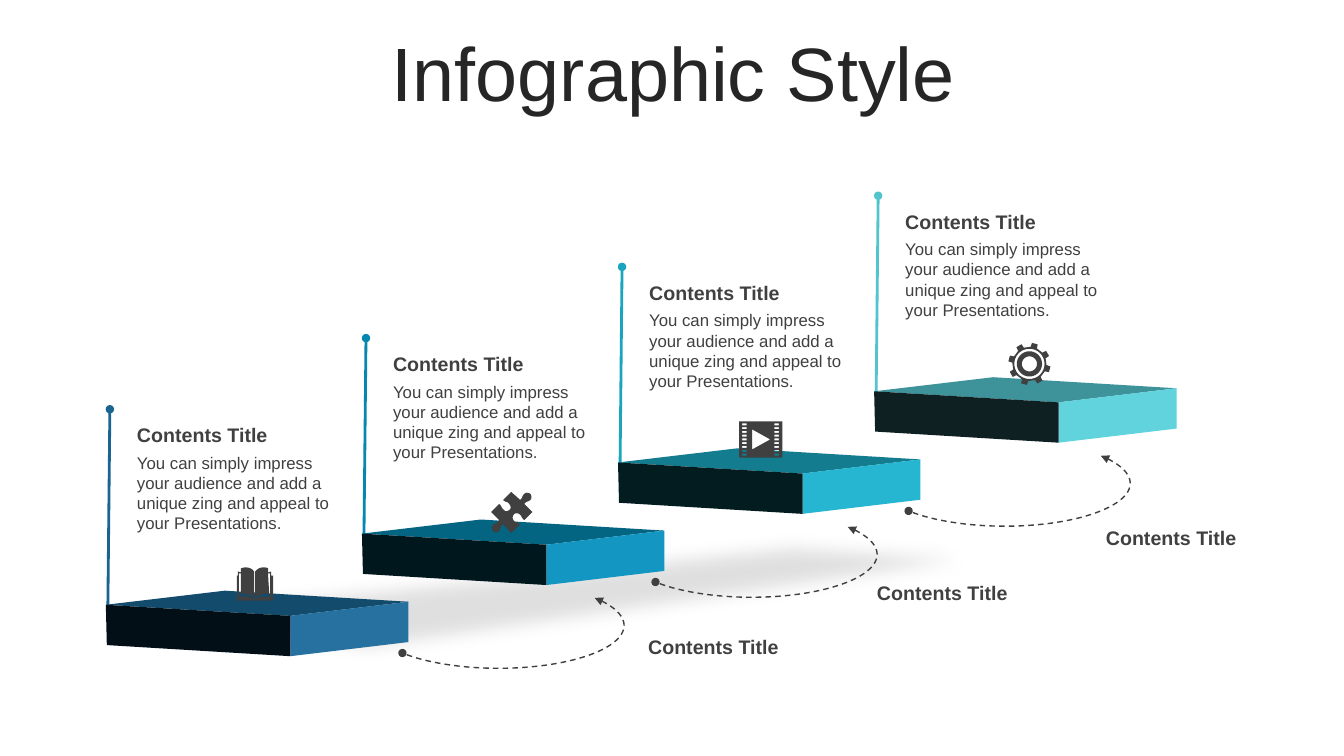
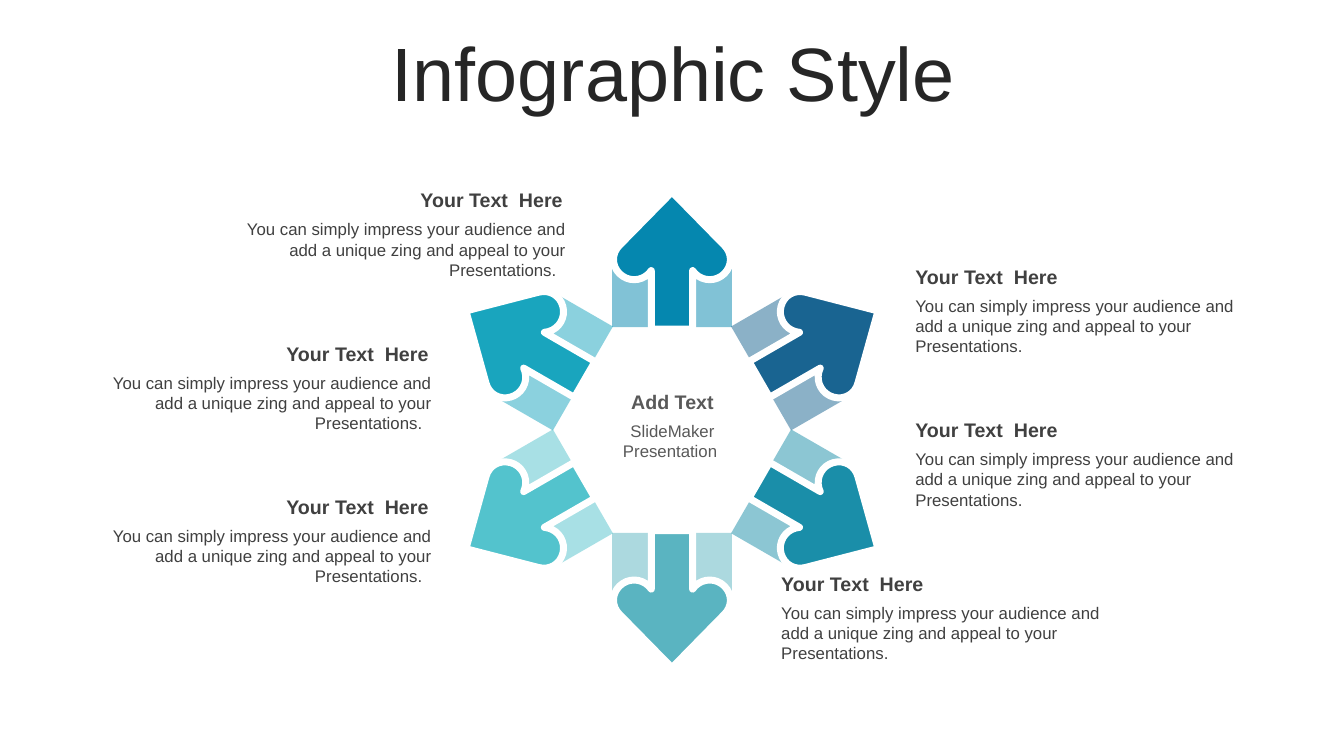
import math
import pptx
import pptx.dml.color
import pptx.enum.dml
import pptx.enum.shapes
import pptx.enum.text
import pptx.oxml
import pptx.oxml.ns
import pptx.util
from pptx.util import Inches

SHAPE = pptx.enum.shapes.MSO_SHAPE
ALIGN = pptx.enum.text.PP_ALIGN
LEFT, CENTER, RIGHT = ALIGN.LEFT, ALIGN.CENTER, ALIGN.RIGHT
DARK = "404040"
TITLE = {"size": 54, "bold": False, "color": "262626"}
HEAD = {"size": 14, "bold": True, "color": DARK}
BODY = {"size": 12, "bold": False, "color": DARK}
BLURB = "You can simply impress your audience and add a unique zing and appeal to your Presentations."


def paint(sp, fill=None, alpha=None, line=None, width=1, ends=()):
    rgb = pptx.dml.color.RGBColor.from_string
    if hasattr(sp, "shadow") and hasattr(sp, "fill"):
        sp.shadow.inherit = False
        if fill:
            sp.fill.solid()
            sp.fill.fore_color.rgb = rgb(fill)
        else:
            sp.fill.background()
    if alpha:
        clr = sp._element.spPr.find(".//" + pptx.oxml.ns.qn("a:srgbClr"))
        clr.append(pptx.oxml.parse_xml(
            f'<a:alpha {pptx.oxml.ns.nsdecls("a")} val="{alpha * 1000}"/>'))
    if line:
        sp.line.color.rgb = rgb(line)
        sp.line.width = pptx.util.Pt(width)
        if len(ends) == 2:
            sp.line.dash_style = pptx.enum.dml.MSO_LINE.DASH
        for tag, kind in ends:
            sp.line._get_or_add_ln().append(pptx.oxml.parse_xml(
                f'<a:{tag} {pptx.oxml.ns.nsdecls("a")} type="{kind}"/>'))
    else:
        sp.line.fill.background()


def outline(sl, contours, fill, **look):
    fb = None
    for contour in contours:
        pts = []
        for pt in contour:
            if len(pt) == 2:
                pts.append(pt)
                continue
            (x0, y0), (x1, y1, x2, y2, x3, y3) = pts[-1], pt
            for t in (i / 8 for i in range(1, 9)):
                u = 1 - t
                a, b, c, d = u ** 3, 3 * u * u * t, 3 * u * t * t, t ** 3
                pts.append((a * x0 + b * x1 + c * x2 + d * x3,
                            a * y0 + b * y1 + c * y2 + d * y3))
        pts = [(Inches(x), Inches(y)) for x, y in pts]
        if fb is None:
            fb = sl.shapes.build_freeform(*pts[0], scale=1.0)
        else:
            fb.move_to(*pts[0])
        fb.add_line_segments(pts[1:], close=True)
    sp = fb.convert_to_shape()
    paint(sp, fill, **look)
    return sp


prs = pptx.Presentation()
prs.slide_width, prs.slide_height = Inches(13.33), Inches(7.5)
stairs = prs.slides.add_slide(prs.slide_layouts[6])
wheel = prs.slides.add_slide(prs.slide_layouts[6])
texts = [(sl, 0.35, 0.37, 12.66, 0.79, "Infographic Style", TITLE, CENTER)
         for sl in (stairs, wheel)]

STEP_X, STEP_Y = 2.54, -0.706
steps = [
    ("196491", "134B6D", "2671A0", "020F16"),
    ("0587AF", "046583", "1496C2", "00171E"),
    ("19A5BE", "137C8F", "26B6D1", "021C20"),
    ("53C3CD", "3E929A", "60D3DD", "0E2022"),
]
for i, colors in enumerate(steps):
    x, y = i * STEP_X, i * STEP_Y
    pole = stairs.shapes.add_connector(
        pptx.enum.shapes.MSO_CONNECTOR.STRAIGHT,
        Inches(1.07 + x), Inches(6.02 + y), Inches(1.09 + x), Inches(4.06 + y))
    paint(pole, line=colors[0], width=2, ends=[("tailEnd", "oval")])
    pole._element.spPr.append(pptx.oxml.parse_xml(
        f'<a:effectLst {pptx.oxml.ns.nsdecls("a")}/>'))

shade = outline(stairs, [[(0.31, 6.05), (3.46, 6.57), (4.03, 6.66, 3.71, 6.59, 3.72, 6.58),
                          (11.21, 5.49), (7.81, 5.26)]], "808080", alpha=25)
shade._element.spPr.find(pptx.oxml.ns.qn("a:effectLst")).append(pptx.oxml.parse_xml(
    f'<a:softEdge {pptx.oxml.ns.nsdecls("a")} rad="158750"/>'))

west, north, east, south = (1.05, 6.0), (2.23, 5.86), (4.05, 5.97), (2.88, 6.11)
west_low, east_low, south_low = (1.06, 6.4), (4.05, 6.37), (2.88, 6.51)
faces = [
    (west, north, east, south),
    (south, east, east_low, south_low),
    (west, south, south_low, west_low),
]
for i, colors in enumerate(steps):
    x, y = i * STEP_X, i * STEP_Y
    for face, color in zip(faces, colors[1:]):
        outline(stairs, [[(px + x, py + y) for px, py in face]], color)
    texts.append((stairs, 1.26 + x, 4.15 + y, 2.19, 0.34, "Contents Title", HEAD, LEFT))
    texts.append((stairs, 1.26 + x, 4.44 + y, 2.19, 0.91, BLURB, BODY, LEFT))

for i in range(3):
    arc = stairs.shapes.add_shape(SHAPE.ARC, Inches(3.7 + 2.51 * i), Inches(5.78 - 0.705 * i),
                                  Inches(2.49), Inches(0.85))
    for n, angle in enumerate((344, 164)):
        arc.adjustments[n] = angle * 0.6
    paint(arc, line=DARK, ends=[("headEnd", "triangle"), ("tailEnd", "oval")])
    texts.append((stairs, 6.33 + 2.27 * i, 6.25 - 0.54 * i, 1.5, 0.34,
                  "Contents Title", HEAD, LEFT))

puzzle = [[
    (5.26, 4.9), (5.27, 4.91, 5.28, 4.94, 5.26, 4.96), (5.24, 4.98, 5.22, 4.97, 5.2, 5),
    (5.28, 5.08), (5.2, 5.16), (5.17, 5.14, 5.18, 5.12, 5.15, 5.1),
    (5.14, 5.09, 5.11, 5.09, 5.1, 5.1), (5.08, 5.12, 5.08, 5.15, 5.1, 5.17),
    (5.12, 5.19, 5.13, 5.17, 5.16, 5.2), (5.07, 5.29), (4.99, 5.2),
    (4.96, 5.23, 4.97, 5.24, 4.95, 5.27), (4.93, 5.29, 4.9, 5.28, 4.89, 5.27),
    (4.88, 5.25, 4.87, 5.23, 4.89, 5.21), (4.91, 5.18, 4.93, 5.2, 4.95, 5.16),
    (4.87, 5.08), (4.95, 5), (4.98, 5.02, 4.97, 5.04, 5, 5.06),
    (5.01, 5.08, 5.04, 5.07, 5.05, 5.06), (5.07, 5.05, 5.07, 5.02, 5.05, 5),
    (5.03, 4.97, 5.02, 4.99, 4.99, 4.96), (5.07, 4.88), (5.16, 4.96),
    (5.19, 4.93, 5.17, 4.93, 5.2, 4.9), (5.22, 4.88, 5.25, 4.89, 5.26, 4.9),
]]
book = [[
    (2.52, 5.94), (2.53, 5.94), (2.59, 5.92, 2.62, 5.91, 2.68, 5.93), (2.68, 5.69),
    (2.66, 5.69), (2.66, 5.76, 2.67, 5.83, 2.67, 5.9), (2.62, 5.88, 2.58, 5.9, 2.53, 5.93),
    (2.53, 5.67), (2.56, 5.64, 2.58, 5.63, 2.61, 5.63), (2.63, 5.63, 2.65, 5.63, 2.66, 5.64),
    (2.66, 5.68), (2.69, 5.67), (2.69, 5.71), (2.71, 5.71), (2.71, 5.96), (2.35, 5.96),
    (2.35, 5.71), (2.36, 5.71), (2.36, 5.67), (2.39, 5.68), (2.39, 5.64),
    (2.41, 5.63, 2.43, 5.63, 2.44, 5.63), (2.47, 5.63, 2.5, 5.64, 2.52, 5.67),
    (2.52, 5.93), (2.48, 5.9, 2.43, 5.88, 2.39, 5.9), (2.39, 5.69), (2.37, 5.69),
    (2.37, 5.93), (2.43, 5.9, 2.47, 5.92, 2.52, 5.94),
]]
boxes = [(7.33, 4.18, 0.43, 0.36)]
boxes += [(x, 4.2 + 0.0375 * i, 0.045, 0.02) for x in (7.36, 7.68) for i in range(9)]
film = [[(x, y), (x + w, y), (x + w, y + h), (x, y + h)] for x, y, w, h in boxes]
film.append([(7.46, 4.26), (7.46, 4.46), (7.64, 4.36)])
rims = [[(0.17, 15 + 45 * i - 11), (0.21, 15 + 45 * i - 8),
         (0.21, 15 + 45 * i + 8), (0.17, 15 + 45 * i + 11)] for i in range(8)]
rings = [sum(rims, [])]
rings += [[(radius, a) for a in range(0, 360, 10)] for radius in (0.15, 0.125, 0.075)]
gear = [[(10.21 + r * math.sin(math.radians(a)), 3.61 - r * math.cos(math.radians(a)))
         for r, a in ring] for ring in rings]
for icon in (puzzle, book, film, gear):
    outline(stairs, icon, DARK)

CX, CY = 6.665, 4.265
arrow = [
    (0, -2.36), (0.52, -1.83), (0.6, -1.75, 0.6, -1.63, 0.52, -1.55),
    (0.44, -1.47, 0.31, -1.47, 0.23, -1.55), (0.205, -1.58), (0.205, -1), (-0.205, -1),
    (-0.205, -1.58), (-0.23, -1.55), (-0.31, -1.47, -0.44, -1.47, -0.52, -1.55),
    (-0.6, -1.63, -0.6, -1.75, -0.52, -1.83),
]
for i, color in enumerate(("0587AF", "196491", "1A8EA9", "5AB4C1", "53C3CD", "19A5BE")):
    sin, cos = math.sin(math.radians(60 * i)), math.cos(math.radians(60 * i))
    base = wheel.shapes.add_shape(
        SHAPE.RECTANGLE, Inches(CX + 1.335 * sin - 0.595), Inches(CY - 1.335 * cos - 0.315),
        Inches(1.19), Inches(0.63))
    base.rotation = 60 * i
    paint(base, color, alpha=50)
    turned = []
    for pt in arrow:
        pairs = zip(pt[::2], pt[1::2])
        turned.append(sum(((CX + x * cos - y * sin, CY + x * sin + y * cos)
                           for x, y in pairs), ()))
    outline(wheel, [turned], color, line="FFFFFF", width=5)

hub = {"color": "595959"}
texts.append((wheel, 5.97, 3.82, 1.4, 0.34, "Add Text", HEAD | hub, CENTER))
texts.append((wheel, 5.97, 4.12, 1.4, 0.5, "SlideMaker Presentation ", BODY | hub, CENTER))
notes = [(7.65, 5.62, LEFT), (8.98, 4.1, LEFT), (8.98, 2.58, LEFT),
         (0.8, 4.86, RIGHT), (0.8, 3.34, RIGHT), (2.13, 1.82, RIGHT)]
for x, y, align in notes:
    blurb = BLURB + "  " if align == RIGHT else BLURB
    texts.append((wheel, x, y, 3.55, 0.34, "Your Text  Here", HEAD, align))
    texts.append((wheel, x, y + 0.305, 3.58, 0.71, blurb, BODY, align))

for sl, x, y, w, h, words, fmt, align in texts:
    tf = sl.shapes.add_textbox(Inches(x), Inches(y), Inches(w), Inches(h)).text_frame
    tf.word_wrap = True
    p = tf.paragraphs[0]
    p.alignment = align
    if fmt is TITLE:
        tf.vertical_anchor = pptx.enum.text.MSO_ANCHOR.MIDDLE
        p.line_spacing = 0.9
    r = p.add_run()
    r.text = words
    r.font.color.rgb = pptx.dml.color.RGBColor.from_string(fmt["color"])
    for name, value in {"name": "Arial", "size": pptx.util.Pt(fmt["size"]),
                        "bold": fmt["bold"]}.items():
        setattr(r.font, name, value)

prs.save("out.pptx")
